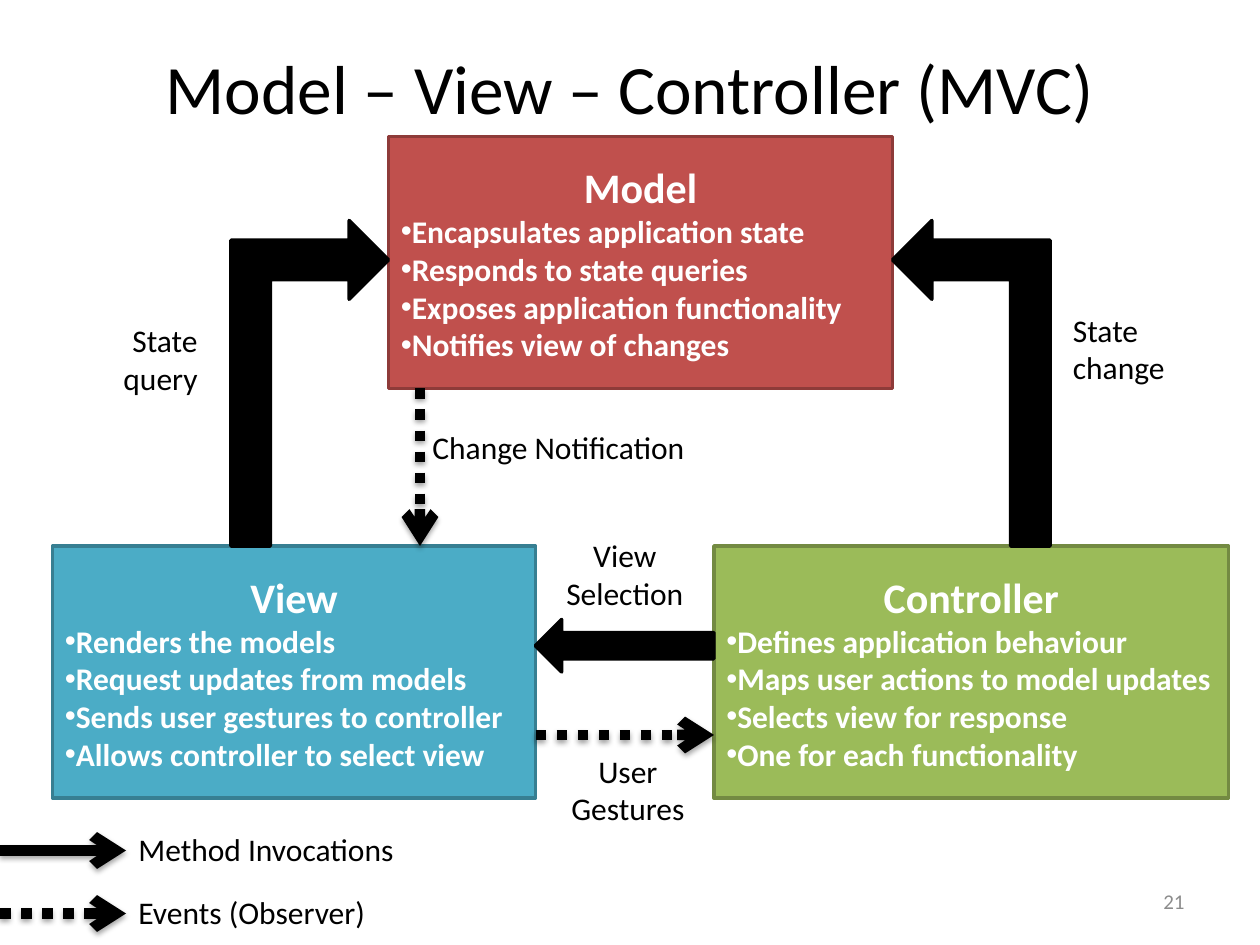
from dataclasses import dataclass

import pptx
import pptx.dml.color
import pptx.enum.dml
import pptx.enum.shapes
import pptx.enum.text
import pptx.oxml.ns
import pptx.util
from lxml import etree

SHAPE = pptx.enum.shapes.MSO_SHAPE
ALIGN = pptx.enum.text.PP_ALIGN
ANCHOR = pptx.enum.text.MSO_ANCHOR


@dataclass(frozen=True)
class Theme:
    font: str = "Calibri"
    ink: str = "000000"
    paper: str = "FFFFFF"
    muted: str = "8C8C8C"
    model: tuple = ("C0504D", "8E3B39")
    view: tuple = ("4BACC6", "377F92")
    controller: tuple = ("9BBB59", "738A42")
    title: float = 39.6
    heading: float = 24
    body: float = 18
    small: float = 12
    outline: float = 2
    stroke: float = 6


def color(code):
    return pptx.dml.color.RGBColor.from_string(code)


def add_xml(parent, tag, **attributes):
    return etree.SubElement(parent, pptx.oxml.ns.qn(tag), attributes)


class SlideBuilder:
    """Draws styled elements on one page, measured in a grid of 120 columns by 90 rows."""

    def __init__(self, deck, theme):
        self.theme = theme
        self.page = deck.slides.add_slide(deck.slide_layouts[6])
        self.column = deck.slide_width / 120
        self.row = deck.slide_height / 90

    def place(self, left, top, width, height):
        return [round(left * self.column), round(top * self.row),
                round(width * self.column), round(height * self.row)]

    def add_span(self, para, text, size, code, bold=False):
        span = para.add_run()
        span.text = text
        span.font.name = self.theme.font
        span.font.size = pptx.util.Pt(size)
        span.font.bold = bold
        span.font.color.rgb = color(code)

    def text(self, area, text, align=ALIGN.LEFT, size=None, code=None, anchor=None):
        frame = self.page.shapes.add_textbox(*self.place(*area)).text_frame
        frame.word_wrap = True
        if anchor is None:
            frame.auto_size = pptx.enum.text.MSO_AUTO_SIZE.SHAPE_TO_FIT_TEXT
        else:
            frame.vertical_anchor = anchor
        para = frame.paragraphs[0]
        para.alignment = align
        self.add_span(para, text, size or self.theme.body, code or self.theme.ink)

    def shape(self, kind, area, fill, outline):
        shape = self.page.shapes.add_shape(kind, *self.place(*area))
        shape.shadow.inherit = False
        shape.fill.solid()
        shape.fill.fore_color.rgb = color(fill)
        shape.line.color.rgb = color(outline)
        shape.line.width = pptx.util.Pt(self.theme.outline)
        return shape

    def component(self, area, colors, heading, duties):
        frame = self.shape(SHAPE.RECTANGLE, area, *colors).text_frame
        frame.word_wrap = True
        frame.vertical_anchor = ANCHOR.MIDDLE
        para = frame.paragraphs[0]
        para.alignment = ALIGN.CENTER
        self.add_span(para, heading, self.theme.heading, self.theme.paper, True)
        for duty in duties:
            para = frame.add_paragraph()
            para.alignment = ALIGN.LEFT
            properties = para._p.get_or_add_pPr()
            add_xml(properties, "a:buFont", typeface="Arial")
            add_xml(properties, "a:buChar", char="•")
            self.add_span(para, duty, self.theme.body, self.theme.paper, True)

    def block_arrow(self, kind, area, rotation=0, flip=False):
        arrow = self.shape(kind, area, self.theme.ink, self.theme.ink)
        arrow.rotation = rotation
        if flip:
            arrow._element.spPr.find(pptx.oxml.ns.qn("a:xfrm")).set("flipH", "1")

    def line_arrow(self, start, end, dotted=True):
        arrow = self.page.shapes.add_connector(
            pptx.enum.shapes.MSO_CONNECTOR.STRAIGHT, *self.place(*start, *end))
        arrow.line.color.rgb = color(self.theme.ink)
        arrow.line.width = pptx.util.Pt(self.theme.stroke)
        if dotted:
            arrow.line.dash_style = pptx.enum.dml.MSO_LINE.ROUND_DOT
        add_xml(arrow.line._get_or_add_ln(), "a:tailEnd", type="arrow")
        effects = add_xml(arrow._element.spPr, "a:effectLst")
        shadow = add_xml(effects, "a:outerShdw", blurRad=str(pptx.util.Pt(3.1)),
                         dist=str(pptx.util.Pt(1.8)), dir="5400000", rotWithShape="0")
        shade = add_xml(shadow, "a:srgbClr", val=self.theme.ink)
        add_xml(shade, "a:alpha", val="35000")


def main():
    deck = pptx.Presentation()
    deck.slide_width = pptx.util.Inches(10)
    deck.slide_height = pptx.util.Inches(7.5)
    theme = Theme()
    slide = SlideBuilder(deck, theme)

    slide.text((6, 3.6, 108, 9.36), "Model – View – Controller (MVC)",
               ALIGN.CENTER, theme.title, anchor=ANCHOR.MIDDLE)
    slide.component((37, 13, 48, 24), theme.model, "Model", [
        "Encapsulates application state",
        "Responds to state queries",
        "Exposes application functionality",
        "Notifies view of changes"])
    slide.component((68, 52, 49, 24), theme.controller, "Controller", [
        "Defines application behaviour",
        "Maps user actions to model updates",
        "Selects view for response",
        "One for each functionality"])
    slide.component((5, 52, 46, 24), theme.view, "View", [
        "Renders the models",
        "Request updates from models",
        "Sends user gestures to controller",
        "Allows controller to select view"])

    slide.block_arrow(SHAPE.BENT_UP_ARROW, (77, 29, 31, 15), rotation=270)
    slide.block_arrow(SHAPE.RIGHT_ARROW, (51, 59, 17, 5), flip=True)
    slide.line_arrow((40, 37), (40, 52))
    slide.line_arrow((51, 70), (68, 70))
    slide.block_arrow(SHAPE.BENT_UP_ARROW, (14, 29, 31, 15), rotation=90, flip=True)

    slide.text((5, 30, 15, 8.5), "State query", ALIGN.RIGHT)
    slide.text((101, 29, 15, 8.5), "State change")
    slide.text((52, 50.5, 15, 8.5), "View Selection", ALIGN.CENTER)
    slide.text((40, 40.2, 30, 4.8), "Change Notification")
    slide.text((51.8, 71, 16, 8.5), "User Gestures", ALIGN.CENTER)

    legend = [("Method Invocations", False), ("Events (Observer)", True)]
    for index, (meaning, dotted) in enumerate(legend):
        level = 81 + 6 * index
        slide.line_arrow((0, level), (12, level), dotted)
        slide.text((12, level - 2.5, 30, 4.8), meaning)
    slide.text((86, 83.4, 28, 4.8), "21", ALIGN.RIGHT, theme.small, theme.muted,
               ANCHOR.MIDDLE)

    deck.save("out.pptx")


if __name__ == "__main__":
    main()
